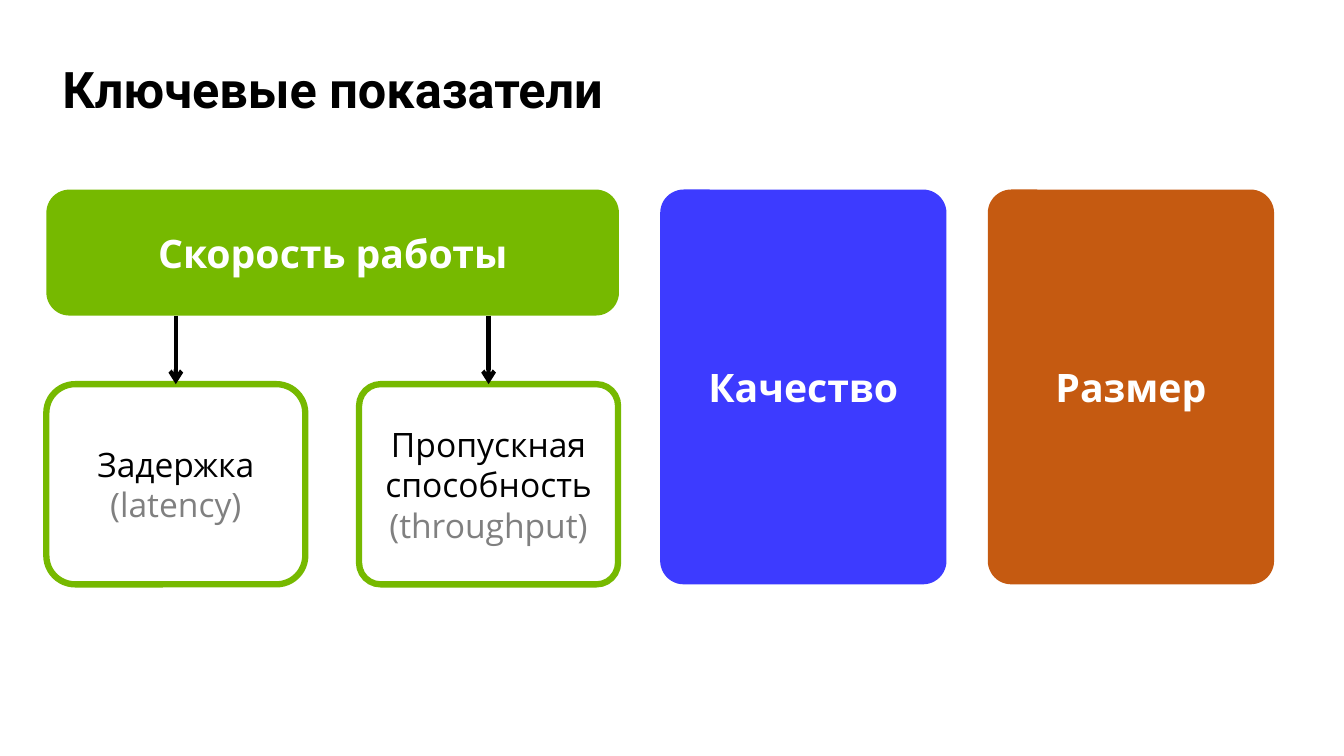
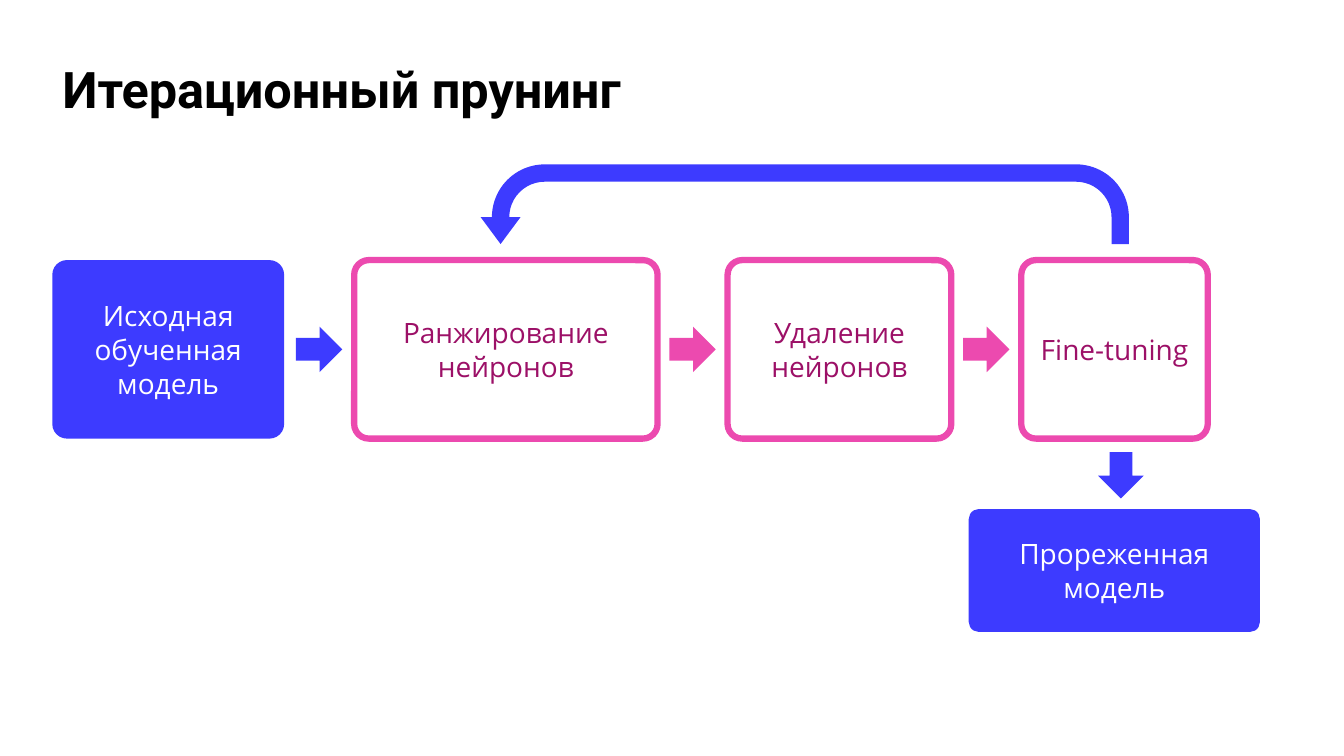
"""Builds two slides on model compression: key metrics and iterative pruning."""
from pptx import Presentation
from pptx.dml.color import RGBColor
from pptx.enum import shapes, text
from pptx.oxml import parse_xml
from pptx.oxml.ns import nsdecls
from pptx.util import Pt

BLACK = RGBColor(0x00, 0x00, 0x00)
WHITE = RGBColor(0xFF, 0xFF, 0xFF)
GRAY = RGBColor(0x80, 0x80, 0x80)
GREEN = RGBColor(0x76, 0xB9, 0x00)
BLUE = RGBColor(0x3D, 0x3B, 0xFF)
ORANGE = RGBColor(0xC5, 0x5A, 0x11)
PINK = RGBColor(0xEC, 0x4A, 0xAF)
PLUM = RGBColor(0x9C, 0x10, 0x67)
TITLE_FONT, BODY_FONT = "Roboto", "Open Sans"
CORNER = 0.082
SHAPE = shapes.MSO_SHAPE

METRICS_TITLE = "Ключевые показатели"
METRICS_TOP, METRICS_HEIGHT = 135.4, 282
SPEED = ("Скорость работы", 33.1, 409, 90)
PILLARS = [("Качество", 471.6, BLUE), ("Размер", 705.6, ORANGE)]
PILLAR_WIDTH = 204.5
SPEED_PARTS = [
    ("Задержка ", "(latency)", 33.1, 0.144),
    ("Пропускная способность ", "(throughput)", 256.5, 0.108),
]
PART_WIDTH, PART_HEIGHT = 185, 143

PRUNING_TITLE = "Итерационный прунинг"
STEPS = [
    ("Исходная обученная модель", 165.6, True),
    ("Ранжирование нейронов", 216.7, False),
    ("Удаление нейронов", 159.8, False),
    ("Fine-tuning", 133.2, False),
]
STEP_LEFT, STEP_TOP, STEP_HEIGHT, STEP_GAP = 37.4, 185.8, 127.5, 50
ARROW_WIDTH, ARROW_HEIGHT = 33.1, 32.4
RESULT = ("Прореженная модель", (692, 363.6, 208, 87.8))
RESULT_ARROW = (784.1, 323.3)
LOOP_AREA = (343.4, 117.4, 463, 56.9)
LOOP_ADJUSTMENTS = (0.218, 0.25, 0.337, 0.697, 1)


def add_span(para, words, size, color, font=BODY_FONT, bold=False):
    span = para.add_run()
    span.text = words
    span.font.name, span.font.size, span.font.bold = font, Pt(size), bold
    span.font.color.rgb = color


def add_page(deck, title):
    page = deck.slides.add_slide(deck.slide_layouts[6])
    box = page.shapes.add_textbox(Pt(37.4), Pt(39.6), Pt(913.7), Pt(51.8))
    frame = box.text_frame
    frame.word_wrap = True
    frame.vertical_anchor = text.MSO_ANCHOR.MIDDLE
    para = frame.paragraphs[0]
    para.line_spacing = 0.9
    add_span(para, title, 36, BLACK, TITLE_FONT, True)
    return page


def add_figure(page, kind, area, color, filled=True, adjustments=()):
    figure = page.shapes.add_shape(kind, *(Pt(length) for length in area))
    figure.shadow.inherit = False
    for index, value in enumerate(adjustments):
        figure.adjustments[index] = value
    if filled:
        figure.fill.solid()
        figure.fill.fore_color.rgb = color
        figure.line.fill.background()
    else:
        figure.fill.background()
        figure.line.color.rgb = color
        figure.line.width = Pt(4.5)
    return figure


def add_card(page, area, color, spans, size, filled=True, bold=False, corner=CORNER):
    card = add_figure(page, SHAPE.ROUNDED_RECTANGLE, area, color, filled, [corner])
    frame = card.text_frame
    frame.word_wrap = True
    frame.vertical_anchor = text.MSO_ANCHOR.MIDDLE
    para = frame.paragraphs[0]
    para.alignment = text.PP_ALIGN.CENTER
    for words, text_color in spans:
        add_span(para, words, size, text_color, bold=bold)
    return card


def add_arrow_to(page, card, start_y):
    middle = card.left + card.width // 2
    arrow = page.shapes.add_connector(
        shapes.MSO_CONNECTOR.STRAIGHT, middle, Pt(start_y), middle, card.top)
    arrow.end_connect(card, 0)
    arrow.line.color.rgb = BLACK
    arrow.line.width = Pt(3)
    arrow.line.fill.solid()
    arrow.line.fill.fore_color.rgb = BLACK
    arrow.get_or_add_ln().append(parse_xml(f'<a:tailEnd {nsdecls("a")} type="arrow"/>'))
    arrow.element.spPr.append(parse_xml(f'<a:effectLst {nsdecls("a")}/>'))


def build_metrics(deck):
    page = add_page(deck, METRICS_TITLE)
    words, left, width, height = SPEED
    add_card(page, (left, METRICS_TOP, width, height), GREEN, [(words, WHITE)], 28,
             bold=True, corner=0.183)
    for words, left, color in PILLARS:
        add_card(page, (left, METRICS_TOP, PILLAR_WIDTH, METRICS_HEIGHT), color,
                 [(words, WHITE)], 28, bold=True)
    part_top = METRICS_TOP + METRICS_HEIGHT - PART_HEIGHT
    for name, term, left, corner in SPEED_PARTS:
        card = add_card(page, (left, part_top, PART_WIDTH, PART_HEIGHT), GREEN,
                        [(name, BLACK), (term, GRAY)], 24, filled=False, corner=corner)
        add_arrow_to(page, card, METRICS_TOP + height)


def build_pruning(deck):
    page = add_page(deck, PRUNING_TITLE)
    left = STEP_LEFT
    arrow_top = STEP_TOP + (STEP_HEIGHT - ARROW_HEIGHT) / 2
    for index, (words, width, filled) in enumerate(STEPS):
        color, text_color = (BLUE, WHITE) if filled else (PINK, PLUM)
        add_card(page, (left, STEP_TOP, width, STEP_HEIGHT), color,
                 [(words, text_color)], 20, filled)
        left += width + STEP_GAP
        if index < len(STEPS) - 1:
            arrow_left = left - (STEP_GAP + ARROW_WIDTH) / 2
            add_figure(page, SHAPE.RIGHT_ARROW,
                       (arrow_left, arrow_top, ARROW_WIDTH, ARROW_HEIGHT), color)
    loop = add_figure(page, SHAPE.U_TURN_ARROW, LOOP_AREA, BLUE,
                      adjustments=LOOP_ADJUSTMENTS)
    loop.element.spPr.xfrm.set("flipH", "1")
    words, area = RESULT
    add_card(page, area, BLUE, [(words, WHITE)], 20)
    down = add_figure(page, SHAPE.RIGHT_ARROW,
                      (*RESULT_ARROW, ARROW_WIDTH, ARROW_HEIGHT), BLUE)
    down.rotation = 90


def main():
    deck = Presentation()
    deck.slide_width, deck.slide_height = Pt(960), Pt(540)
    build_metrics(deck)
    build_pruning(deck)
    deck.save("out.pptx")


if __name__ == "__main__":
    main()
